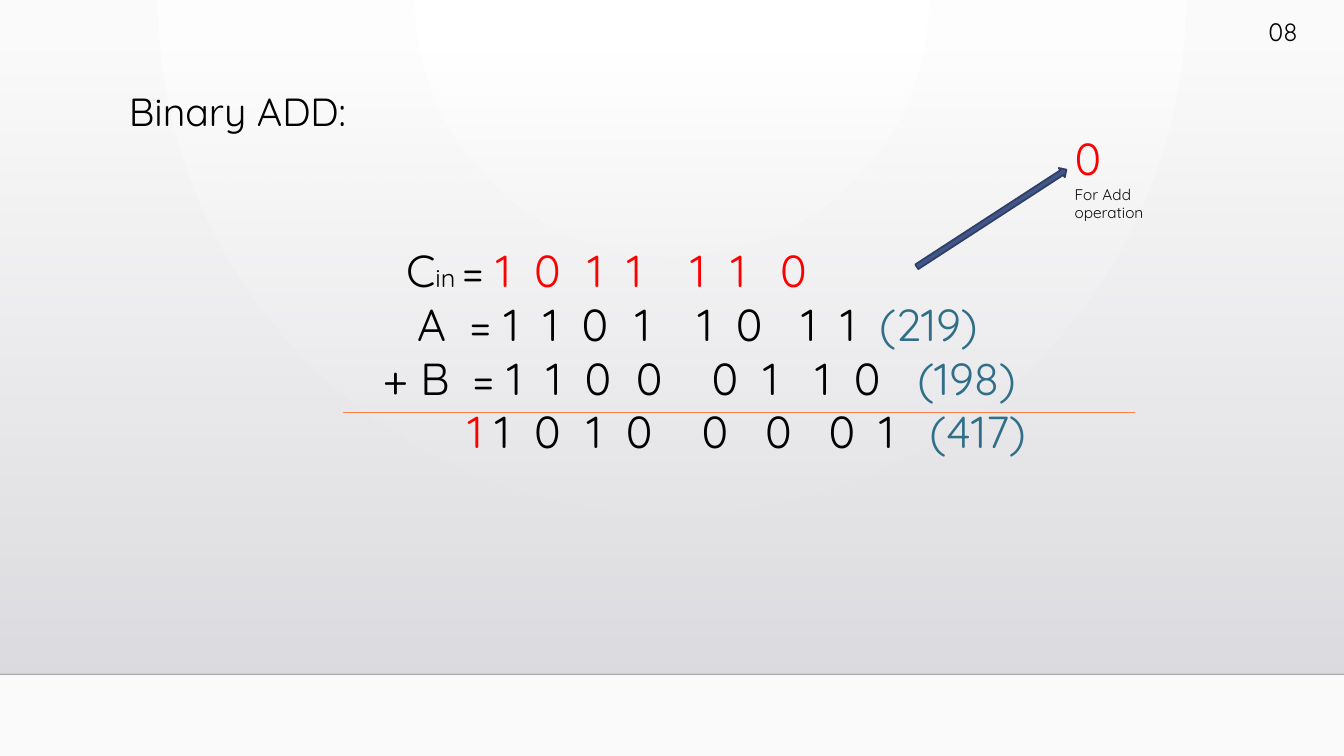
from pptx import Presentation
from pptx.dml.color import RGBColor
from pptx.enum.shapes import MSO_CONNECTOR, MSO_SHAPE
from pptx.enum.text import MSO_AUTO_SIZE, PP_ALIGN
from pptx.oxml import parse_xml
from pptx.oxml.ns import nsdecls, qn
from pptx.oxml.xmlchemy import OxmlElement
from pptx.util import Inches, Pt

RECT, ARROW = MSO_SHAPE.RECTANGLE, MSO_SHAPE.RIGHT_ARROW
STRAIGHT = MSO_CONNECTOR.STRAIGHT
GROW = MSO_AUTO_SIZE.SHAPE_TO_FIT_TEXT
LEFT, CENTER = PP_ALIGN.LEFT, PP_ALIGN.CENTER
FONT = "Quicksand"
BLACK, RED, TEAL = "000000", "FF0000", "316F89"
W, H = 13.33, 7.5


def color(value):
    return RGBColor.from_string(value)


def set_gradient(owner, fill, stops, direction):
    fill.gradient()
    old = owner.find(".//" + qn("a:gradFill"))
    items = "".join(
        f'<a:gs pos="{pos * 1000}"><a:srgbClr val="{rgb}">'
        f'<a:alpha val="{alpha * 1000}"/></a:srgbClr></a:gs>'
        for pos, rgb, alpha in stops)
    old.getparent().replace(old, parse_xml(
        f'<a:gradFill {nsdecls("a")} rotWithShape="1">'
        f'<a:gsLst>{items}</a:gsLst>{direction}</a:gradFill>'))


def add_line(s, left, top, width, rgb, weight, alpha=100):
    line = s.shapes.add_connector(STRAIGHT, Inches(left), Inches(top),
                                  Inches(left + width), Inches(top))
    line.line.color.rgb = color(rgb)
    line.line.width = Pt(weight)
    line._element.spPr.append(OxmlElement("a:effectLst"))
    if alpha < 100:
        opacity = OxmlElement("a:alpha")
        opacity.set("val", str(alpha * 1000))
        line._element.find(".//" + qn("a:srgbClr")).append(opacity)


def add_text(s, box, paragraphs, align=LEFT):
    tf = s.shapes.add_textbox(*map(Inches, box)).text_frame
    tf.word_wrap = True
    tf.auto_size = GROW
    for i, runs in enumerate(paragraphs):
        p = tf.paragraphs[0] if i == 0 else tf.add_paragraph()
        p.alignment = align
        for text, size, rgb in runs:
            r = p.add_run()
            r.text = text
            r.font.name = FONT
            r.font.size = Pt(size)
            r.font.color.rgb = color(rgb)
    return tf


def set_tabs(p, stops):
    tabs = OxmlElement("a:tabLst")
    for stop in stops:
        tab = OxmlElement("a:tab")
        tab.set("pos", str(Inches(stop)))
        tab.set("algn", "l")
        tabs.append(tab)
    p._p.get_or_add_pPr().append(tabs)


def add_backdrop(s, left, top, width, height):
    set_gradient(s.element, s.background.fill,
                 [(0, "FFFFFF", 100), (100, "FAFAFA", 100)],
                 '<a:path path="circle"><a:fillToRect l="43000" t="0" '
                 'r="43000" b="100000"/></a:path>')
    wall = s.shapes.add_shape(RECT, *map(Inches, (left, top, width, height)))
    wall.shadow.inherit = False
    wall.line.fill.background()
    set_gradient(wall._element, wall.fill,
                 [(0, "DCDCE0", 0), (100, "DEDEE2", 100)],
                 '<a:lin ang="5400000" scaled="0"/>')
    add_line(s, left, top + height, width, "000001", 1, 20)


def add_sum(s, left, top, width, height):
    def digits(bits, rgb=BLACK):
        return ("\t" + "\t".join(bits), 32, rgb)

    rows = [
        ([("\tC", 32, BLACK), ("in ", 18, BLACK), ("=", 32, BLACK),
          digits("1011110", RED)],
         [0.23, 1.12, 1.5, 2.03, 2.42, 3.05, 3.45, 3.94]),
        ([("\tA\t=", 32, BLACK), digits("11011011"), ("\t(219)", 32, TEAL)],
         [0.34, 0.86, 1.2, 1.59, 1.97, 2.5, 3.12, 3.5, 4.15, 4.54, 4.92]),
        ([("+ B\t=", 32, BLACK), digits("11000110"), ("\t(198)", 32, TEAL)],
         [0.89, 1.23, 1.62, 2, 2.51, 3.26, 3.77, 4.29, 4.67, 5.3]),
        ([digits("1", RED), digits("10100001"), ("\t(417)", 32, TEAL)],
         [0.84, 1.11, 1.5, 2.02, 2.41, 3.16, 3.79, 4.42, 4.92, 5.42]),
    ]
    tf = add_text(s, (left, top, width, height), [runs for runs, _ in rows])
    for p, (_, stops) in zip(tf.paragraphs, rows):
        set_tabs(p, stops)
    add_line(s, left - 0.3, top + 1.73, width + 0.62, "F6814D", 0.75)


def add_carry_note(s, left, top, width, height):
    arrow = s.shapes.add_shape(ARROW, Inches(left - 1.61), Inches(top + 0.86),
                               Inches(1.77), Inches(0.11))
    arrow.rotation = 327
    arrow.shadow.inherit = False
    arrow.fill.solid()
    arrow.fill.fore_color.rgb = color("415588")
    arrow.line.color.rgb = color("303F65")
    arrow.line.width = Pt(1.25)
    add_text(s, (left, top, width, height),
             [[("0", 32, RED)], [("For Add operation", 11, "0D0D0D")]])


def main():
    prs = Presentation()
    prs.slide_width, prs.slide_height = Inches(W), Inches(H)
    s = prs.slides.add_slide(prs.slide_layouts[6])
    add_backdrop(s, 0, 0.51, W, 6.18)
    add_text(s, (1.18, 0.82, 5.99, 0.57), [[("Binary ADD:", 28, BLACK)]])
    add_sum(s, 3.7, 2.36, 7.24, 2.79)
    add_carry_note(s, 10.56, 1.25, 1.05, 1.01)
    add_text(s, (12.31, 0.11, 0.83, 0.4), [[("08", 18, BLACK)]], CENTER)
    prs.save("out.pptx")


if __name__ == "__main__":
    main()
